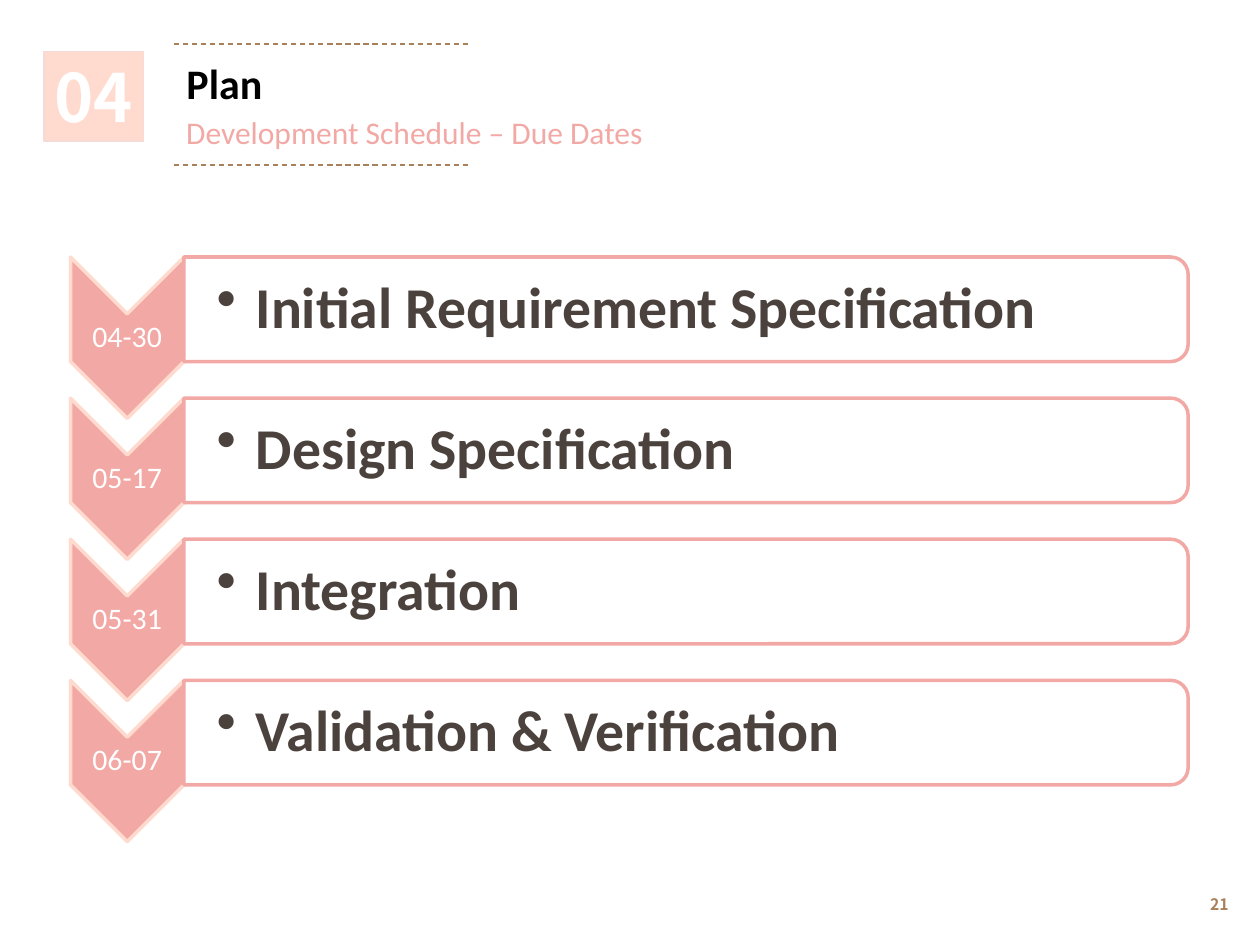
from dataclasses import dataclass

from lxml import etree
from pptx import Presentation
from pptx.dml.color import RGBColor
from pptx.enum.dml import MSO_LINE
from pptx.enum.shapes import MSO_CONNECTOR, MSO_SHAPE
from pptx.enum.text import MSO_ANCHOR, MSO_AUTO_SIZE, PP_ALIGN
from pptx.oxml.ns import qn
from pptx.util import Inches, Pt

LEFT, CENTER, RIGHT = PP_ALIGN.LEFT, PP_ALIGN.CENTER, PP_ALIGN.RIGHT
TOP, MIDDLE = MSO_ANCHOR.TOP, MSO_ANCHOR.MIDDLE
NO_FIT = MSO_AUTO_SIZE.NONE
DASH = MSO_LINE.DASH
STRAIGHT = MSO_CONNECTOR.STRAIGHT
RECTANGLE, CHEVRON = MSO_SHAPE.RECTANGLE, MSO_SHAPE.CHEVRON
PANEL = MSO_SHAPE.ROUND_2_SAME_RECTANGLE


@dataclass(frozen=True)
class Theme:
    body_font: str = "Calibri"
    number_font: str = "Noto Sans CJK KR"
    black: str = "000000"
    white: str = "FFFFFF"
    pink: str = "F2A9A5"
    peach: str = "FFDBCF"
    badge_edge: str = "F5DAD7"
    brown: str = "A8815A"
    ink: str = "4B423D"
    badge_size: float = 38
    title_size: float = 24
    subtitle_size: float = 18
    date_size: float = 17
    milestone_size: float = 33
    page_number_size: float = 9
    thin: float = 0.75
    thick: float = 2


THEME = Theme()
MILESTONES = [
    ("04-30", "Initial Requirement Specification"),
    ("05-17", "Design Specification"),
    ("05-31", "Integration"),
    ("06-07", "Validation & Verification"),
]


def color(value):
    return RGBColor.from_string(value)


def place(shape, left, top, width, height):
    shape.left, shape.top = Inches(left), Inches(top)
    shape.width, shape.height = Inches(width), Inches(height)


def write(shape, text, size, ink, bold=False, font=THEME.body_font,
          align=LEFT, anchor=TOP, wrap=False, insets=(0.1, 0.05, 0.1, 0.05)):
    frame = shape.text_frame
    frame.text = text
    frame.auto_size = NO_FIT
    frame.word_wrap = wrap
    frame.vertical_anchor = anchor
    frame.margin_left, frame.margin_top, frame.margin_right, frame.margin_bottom = map(Inches, insets)
    para = frame.paragraphs[0]
    para.alignment = align
    span = para.runs[0].font
    span.name, span.size, span.bold = font, Pt(size), bold
    span.color.rgb = color(ink)
    return para


def add_text(page, box, text, size, ink, **style):
    shape = page.shapes.add_textbox(*map(Inches, box))
    return write(shape, text, size, ink, **style)


def add_block(page, kind, box, fill, edge, weight):
    shape = page.shapes.add_shape(kind, *map(Inches, box))
    shape.shadow.inherit = False
    shape.fill.solid()
    shape.fill.fore_color.rgb = color(fill)
    shape.line.color.rgb = color(edge)
    shape.line.width = Pt(weight)
    return shape


def add_turned_block(page, kind, box, fill, edge):
    left, top, width, height = box
    shift = (width - height) / 2
    unturned = (left + shift, top - shift, height, width)
    shape = add_block(page, kind, unturned, fill, edge, THEME.thick)
    shape.rotation = 90
    return shape


def add_rule(page, left, top, width):
    rule = page.shapes.add_connector(
        STRAIGHT, Inches(left), Inches(top), Inches(left + width), Inches(top))
    rule.line.color.rgb = color(THEME.brown)
    rule.line.width = Pt(THEME.thin)
    rule.line.dash_style = DASH
    etree.SubElement(rule._element.spPr, qn("a:effectLst"))


def add_bullet(para, indent):
    properties = para._p.get_or_add_pPr()
    properties.set("marL", str(Inches(indent)))
    properties.set("indent", str(-Inches(indent)))
    etree.SubElement(properties, qn("a:buChar")).set("char", "•")


def build_badge(page, box):
    badge = add_block(page, RECTANGLE, box, THEME.peach, THEME.badge_edge, THEME.thin)
    write(badge, "04", THEME.badge_size, THEME.white, bold=True,
          font=THEME.number_font, align=CENTER, anchor=MIDDLE)


def build_heading(page, box):
    left, top, width, height = box
    for rule_top in (top, top + height):
        add_rule(page, left, rule_top, width)
    title = page.shapes.title
    place(title, left, top + 0.06, 0.89, 0.5)
    write(title, "Plan", THEME.title_size, THEME.black, bold=True)
    add_text(page, (left, top + 0.5, 4.27, 0.4), "Development Schedule – Due Dates",
             THEME.subtitle_size, THEME.pink)


def build_milestone(page, box, date, name):
    left, top, width, height = box
    arrow_width, arrow_height = 0.9, 1.28
    notch = arrow_width / 2
    add_turned_block(page, CHEVRON, (left, top, arrow_width, arrow_height),
                     THEME.pink, THEME.peach)
    date_box = (left, top + notch, arrow_width, arrow_height - 2 * notch)
    date_para = add_text(page, date_box, date, THEME.date_size, THEME.white, align=CENTER,
                         anchor=MIDDLE, wrap=True, insets=(0.01,) * 4)
    date_para.line_spacing = 0.9

    panel_box = (left + arrow_width, top, width - arrow_width, height)
    panel = add_turned_block(page, PANEL, panel_box, THEME.white, THEME.pink)
    fill_color = panel._element.spPr.find(qn("a:solidFill"))[0]
    etree.SubElement(fill_color, qn("a:alpha")).set("val", "90000")
    name_para = add_text(page, panel_box, name, THEME.milestone_size, THEME.ink, bold=True,
                         anchor=MIDDLE, wrap=True, insets=(0.26, 0.02, 0.02, 0.02))
    name_para.line_spacing = 0.9
    add_bullet(name_para, 0.31)


def build_schedule(page, box):
    left, top, width, height = box
    row_height = 0.83
    last_arrow_height = 1.28
    pitch = (height - last_arrow_height) / (len(MILESTONES) - 1)
    for index, (date, name) in enumerate(MILESTONES):
        row = (left, top + index * pitch, width, row_height)
        build_milestone(page, row, date, name)


def build_page_number(page, box):
    add_text(page, box, "21", THEME.page_number_size, THEME.brown, bold=True,
             font=THEME.number_font, align=RIGHT, anchor=MIDDLE, wrap=True)


def main():
    deck = Presentation()
    deck.slide_width, deck.slide_height = Inches(10), Inches(7.5)
    page = deck.slides.add_slide(deck.slide_layouts.get_by_name("Title Only"))
    build_page_number(page, (7.52, 6.98, 2.33, 0.4))
    build_badge(page, (0.35, 0.41, 0.79, 0.71))
    build_heading(page, (1.38, 0.35, 2.36, 0.96))
    build_schedule(page, (0.56, 2.04, 8.87, 4.64))
    deck.save("out.pptx")


if __name__ == "__main__":
    main()
